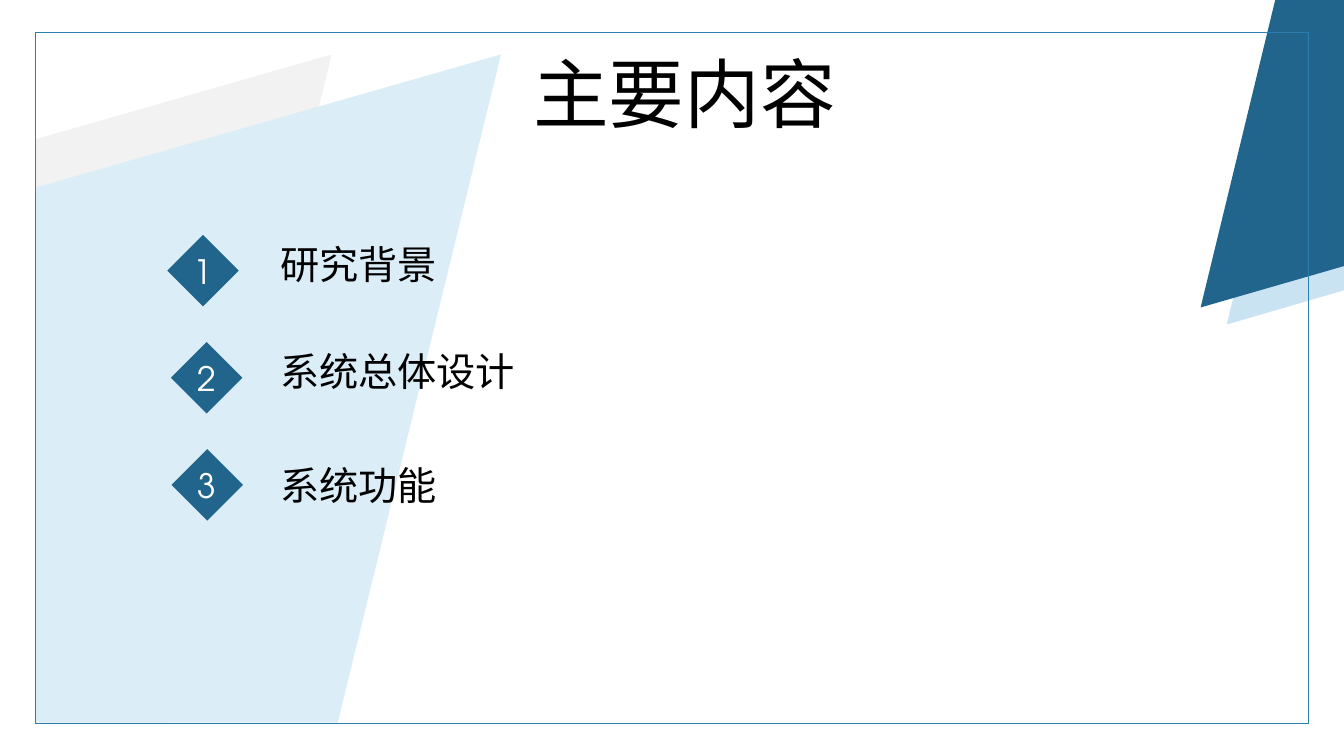
from collections import namedtuple

from pptx import Presentation
from pptx import util as u
from pptx.dml.color import RGBColor
from pptx.enum import shapes, text

FONT = "TeX Gyre Adventor"
BLACK, WHITE = "000000", "FFFFFF"
NAVY, FRAME_BLUE = "22658C", "2B7EAD"

Box = namedtuple("Box", "left top width height")

PANELS = [
    ("F2F2F2", [(24.68, 7.2), (12.53, 95.6), (2.7, 95.6), (2.7, 18.4)]),
    ("DBEDF6", [(37.28, 7.2), (25.13, 95.6), (2.7, 95.6), (2.7, 24.8)]),
    ("C9E3F2", [(96.83, 2), (100, 2), (100, 38.4), (91.28, 42.93)]),
    (NAVY, [(94.88, 0), (100, 0), (100, 35.2), (89.33, 40.67)]),
]

Topic = namedtuple("Topic", "label marker_shift label_drop label_width")
TOPICS = [
    Topic("研究背景", 0, 0, 5.15),
    Topic("系统总体设计", 0.05, 0, 4.37),
    Topic("系统功能", 0.06, 0.1, 4.66),
]


def color(hex_string):
    return RGBColor.from_string(hex_string)


def percent_box(box, left, top, width, height):
    return Box(
        round(box.left + box.width * left / 100),
        round(box.top + box.height * top / 100),
        round(box.width * width / 100),
        round(box.height * height / 100),
    )


def paint(shape, fill):
    shape.shadow.inherit = False
    shape.fill.solid()
    shape.fill.fore_color.rgb = color(fill)
    shape.line.fill.background()


def write(shape, words, size, ink, align, anchor):
    frame = shape.text_frame
    frame.text = words
    frame.word_wrap = True
    frame.vertical_anchor = anchor
    paragraph = frame.paragraphs[0]
    paragraph.alignment = align
    font = paragraph.runs[0].font
    font.name = FONT
    font.size = u.Pt(size)
    font.color.rgb = color(ink)
    return paragraph


def add_background(slide, box):
    for fill, corners in PANELS:
        points = [(round(box.left + box.width * x / 100),
                   round(box.top + box.height * y / 100)) for x, y in corners]
        builder = slide.shapes.build_freeform(*points[0])
        builder.add_line_segments(points[1:], close=True)
        paint(builder.convert_to_shape(), fill)

    frame = slide.shapes.add_shape(
        shapes.MSO_SHAPE.RECTANGLE, *percent_box(box, 2.63, 4.27, 94.73, 91.47))
    frame.shadow.inherit = False
    frame.fill.background()
    frame.line.color.rgb = color(FRAME_BLUE)
    frame.line.width = u.Pt(1)


def add_title(slide, box):
    title = slide.shapes.add_textbox(*box)
    write(title, "主要内容", 54, BLACK, text.PP_ALIGN.CENTER, text.MSO_ANCHOR.TOP)


def add_agenda(slide, box):
    side = box.height / 4
    label_left = round(box.left + 1.44 * side)
    for index, topic in enumerate(TOPICS):
        top = box.top + 1.5 * side * index
        marker = slide.shapes.add_shape(
            shapes.MSO_SHAPE.DIAMOND, round(box.left + topic.marker_shift * side),
            round(top), round(side), round(side))
        paint(marker, NAVY)
        frame = marker.text_frame
        frame.margin_left = frame.margin_right = 0
        frame.margin_top = frame.margin_bottom = 0
        write(marker, str(index + 1), 24, WHITE,
              text.PP_ALIGN.CENTER, text.MSO_ANCHOR.MIDDLE)

        label = slide.shapes.add_textbox(
            label_left, round(top + topic.label_drop * side),
            round(topic.label_width * side), round(0.8 * side))
        paragraph = write(label, topic.label, 28, BLACK,
                          text.PP_ALIGN.LEFT, text.MSO_ANCHOR.MIDDLE)
        paragraph.space_before = u.Pt(7.5)


def main():
    presentation = Presentation()
    presentation.slide_width = u.Inches(13.33)
    presentation.slide_height = u.Inches(7.5)
    slide = presentation.slides.add_slide(presentation.slide_layouts[6])
    page = Box(0, 0, presentation.slide_width, presentation.slide_height)
    add_background(slide, page)
    add_title(slide, percent_box(page, 32.48, 5.6, 36.9, 13.47))
    add_agenda(slide, percent_box(page, 12.45, 31.07, 34.95, 37.8))
    presentation.save("out.pptx")


if __name__ == "__main__":
    main()
